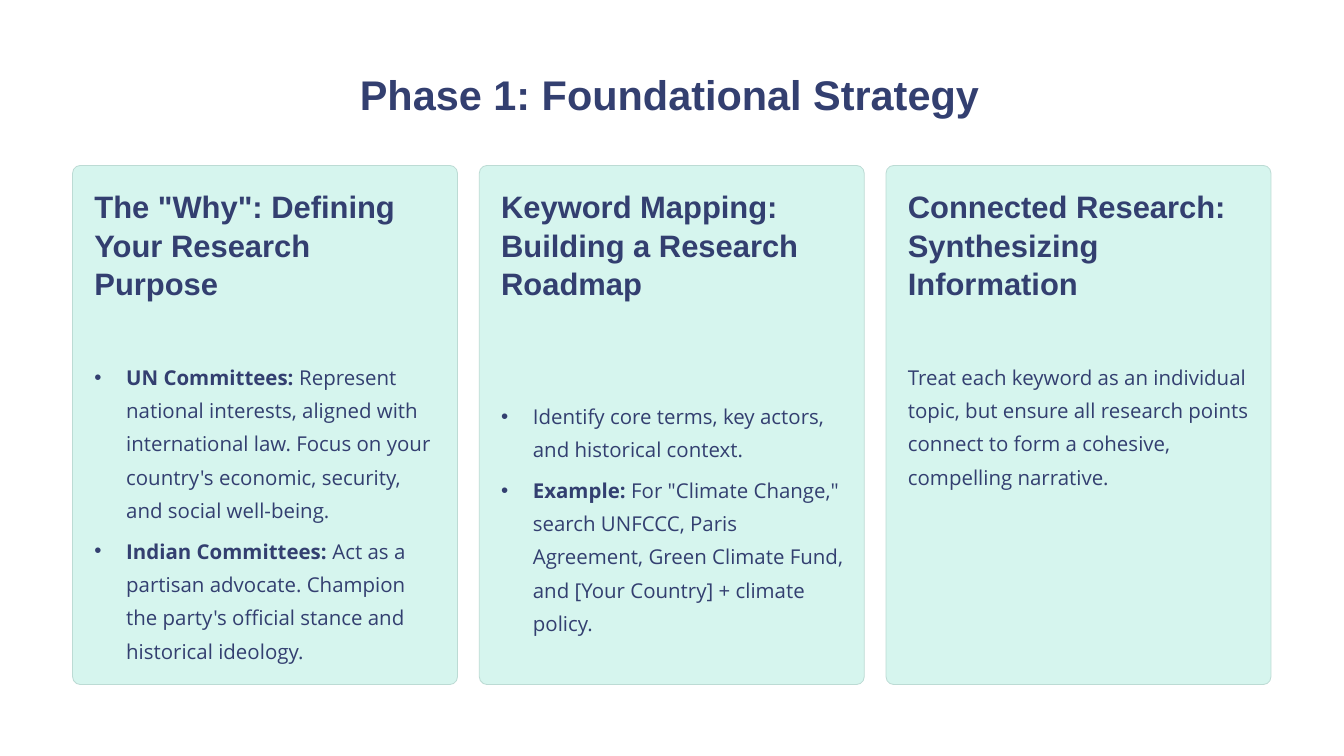
from lxml import etree
from pptx import Presentation
from pptx.dml.color import RGBColor
from pptx.enum import shapes, text
from pptx.oxml import ns
from pptx.util import Cm, Pt

COLOURS = {"ink": "333F70", "card": "D6F5EE", "border": "BCDBD4", "page": "FFFFFF"}

CARD_LEFT, CARD_TOP, CARD_WIDTH, CARD_HEIGHT = 1.83, 4.17, 9.7, 13.08
CARD_PITCH = 10.25
INSET = 0.55
TEXT_WIDTH = 8.64
HEADING_TOP, HEADING_GAP = 4.7, 0.33
LINE_HEIGHT, BODY_GAP = 0.84, 0.18
BULLET_INDENT = 0.8

# Each card: heading, heading height, body items (bold lead, text, lines, bulleted)
CARDS = [
    ('The "Why": Defining Your Research Purpose', 3.94, [
        ("UN Committees:", " Represent national interests, aligned with international law. "
         "Focus on your country's economic, security, and social well-being.", 5, True),
        ("Indian Committees:", " Act as a partisan advocate. Champion the party's official "
         "stance and historical ideology.", 4, True),
    ]),
    ("Keyword Mapping: Building a Research Roadmap", 4.93, [
        ("", "Identify core terms, key actors, and historical context.", 2, True),
        ("Example:", ' For "Climate Change," search UNFCCC, Paris Agreement, '
         "Green Climate Fund, and [Your Country] + climate policy.", 5, True),
    ]),
    ("Connected Research: Synthesizing Information", 3.94, [
        ("", "Treat each keyword as an individual topic, but ensure all research points "
         "connect to form a cohesive, compelling narrative.", 4, False),
    ]),
]

presentation = Presentation()
presentation.slide_width, presentation.slide_height = Cm(33.87), Cm(19.05)
slide = presentation.slides.add_slide(presentation.slide_layouts[6])
slide.background.fill.solid()
slide.background.fill.fore_color.rgb = RGBColor.from_string(COLOURS["page"])


def add_text(left, top, width, height, runs, font, size, spacing, bulleted=False):
    """Add a marginless text box of one paragraph; runs are (text, bold) pairs."""
    box = slide.shapes.add_textbox(Cm(left), Cm(top), Cm(width), Cm(height))
    frame = box.text_frame
    frame.word_wrap = True
    frame.vertical_anchor = text.MSO_ANCHOR.TOP
    frame.margin_left = frame.margin_top = frame.margin_right = frame.margin_bottom = 0
    paragraph = frame.paragraphs[0]
    paragraph.line_spacing = Pt(spacing)
    if bulleted:
        properties = paragraph._p.get_or_add_pPr()
        properties.set("marL", str(Cm(BULLET_INDENT)))
        properties.set("indent", str(-Cm(BULLET_INDENT)))
        etree.SubElement(properties, ns.qn("a:buFont")).set("typeface", "Arial")
        etree.SubElement(properties, ns.qn("a:buChar")).set("char", "•")
    paragraph.font.name = font
    paragraph.font.size = Pt(size)
    paragraph.font.color.rgb = RGBColor.from_string(COLOURS["ink"])
    for words, bold in runs:
        run = paragraph.add_run()
        run.text = words
        run.font.bold = bold


add_text(9.07, 1.68, 20.57, 1.32, [("Phase 1: Foundational Strategy", True)],
         "Arial", 29.6, 37.1)

for column, (heading, heading_height, items) in enumerate(CARDS):
    left = CARD_LEFT + column * CARD_PITCH
    card = slide.shapes.add_shape(shapes.MSO_SHAPE.ROUNDED_RECTANGLE, Cm(left), Cm(CARD_TOP),
                                  Cm(CARD_WIDTH), Cm(CARD_HEIGHT))
    card.adjustments[0] = 0.02
    card.shadow.inherit = False
    card.fill.solid()
    card.fill.fore_color.rgb = RGBColor.from_string(COLOURS["card"])
    card.line.color.rgb = RGBColor.from_string(COLOURS["border"])
    card.line.width = Pt(0.6)

    add_text(left + INSET, HEADING_TOP, TEXT_WIDTH, heading_height, [(heading, True)],
             "Arial", 22.1, 27.5)
    top = HEADING_TOP + heading_height + HEADING_GAP
    for lead, body, lines, bulleted in items:
        height = lines * LINE_HEIGHT
        runs = [(lead, True), (body, False)] if lead else [(body, False)]
        add_text(left + INSET, top, TEXT_WIDTH, height, runs, "Open Sans", 14.6, 23.8, bulleted)
        top += height + BODY_GAP

presentation.save("out.pptx")
